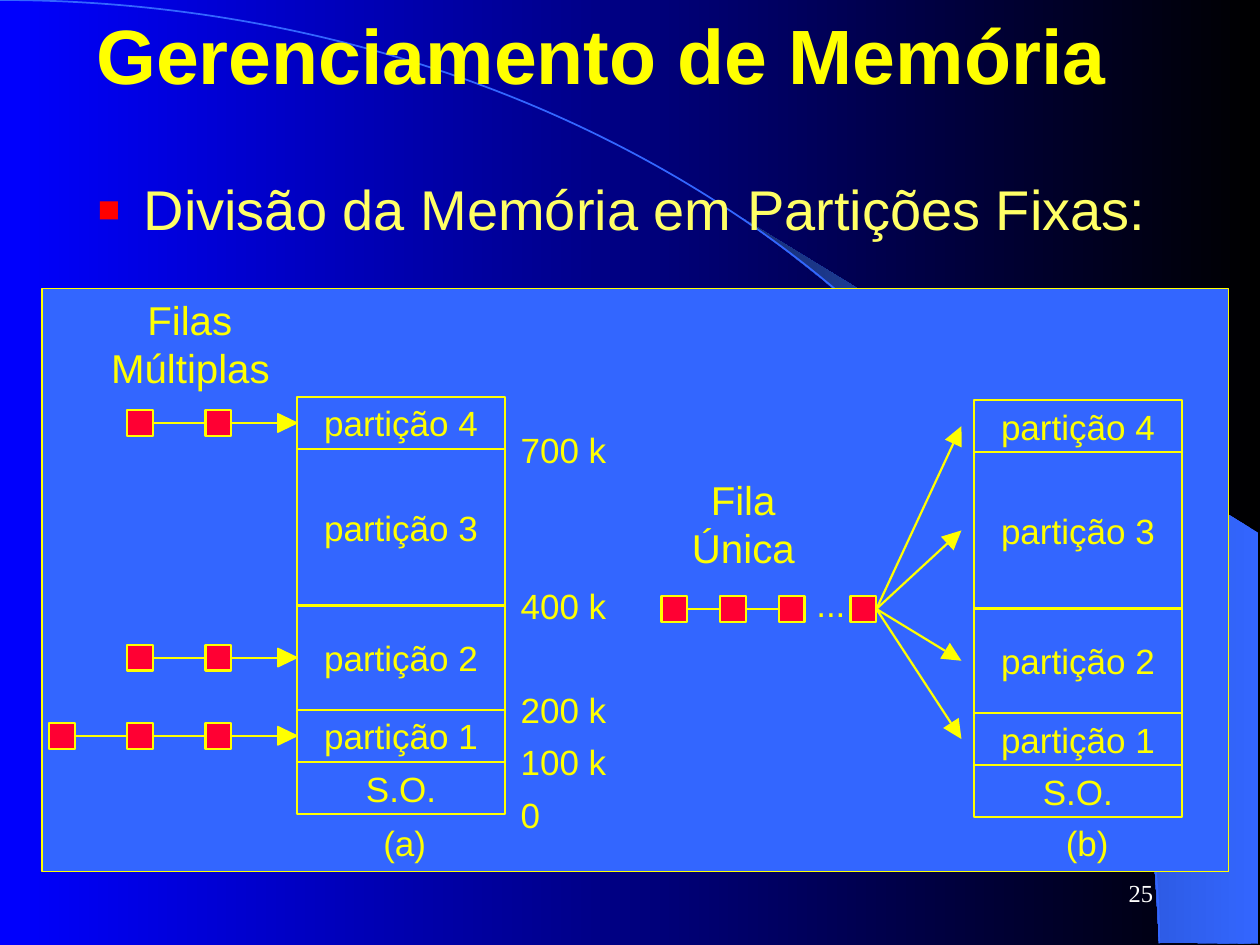
from math import hypot

from lxml import etree
from pptx import Presentation
from pptx.dml.color import RGBColor
from pptx.enum.shapes import MSO_CONNECTOR, MSO_SHAPE
from pptx.enum.text import MSO_ANCHOR, PP_ALIGN
from pptx.oxml.ns import qn
from pptx.util import Pt

RECT, ARC = MSO_SHAPE.RECTANGLE, MSO_SHAPE.ARC
LINE = MSO_CONNECTOR.STRAIGHT
TOP, MIDDLE = MSO_ANCHOR.TOP, MSO_ANCHOR.MIDDLE
LEFT, CENTER, RIGHT = PP_ALIGN.LEFT, PP_ALIGN.CENTER, PP_ALIGN.RIGHT
JUSTIFY = PP_ALIGN.JUSTIFY

YELLOW, BLUE, RED = "FFFF00", "3366FF", "FF0033"
PARTS = [("partição 4", 1), ("partição 3", 3), ("partição 2", 2),
         ("partição 1", 1), ("S.O.", 1)]
MARKS = ["700 k", "400 k", "200 k", "100 k", "0"]
UNIT, WIDE, SIDE = 29.8, 118.8, 14.8
SWOOSH = [(662.4, 538.6), (719.3, 539.3), (719.3, 304.6), (424.1, 124.6),
          (449.3, 143.3), (470.2, 159.8), (493.2, 180), (515.5, 201.6),
          (548.6, 237.6), (578.2, 276.5), (599, 310.3), (617.8, 344.9),
          (632.2, 380.2), (643, 411.8), (650.2, 438.5), (657.4, 472.3),
          (660.2, 501.1)]


def tint(code):
    return RGBColor.from_string(code)


def blend(fill, first, last):
    fill.gradient()
    fill.gradient_angle = 180
    for stop, code, place in zip(fill.gradient_stops, (first, last), (0, 1)):
        stop.color.rgb = tint(code)
        stop.position = place


class Board:
    """Draws styled elements on the current slide, with lengths in points."""

    def __init__(self, slide):
        self.slide = slide
        self.shapes = slide.shapes
        self.font = "Arial"

    def paint(self, shape, fill, line, width):
        shape.shadow.inherit = False
        if fill:
            shape.fill.solid()
            shape.fill.fore_color.rgb = tint(fill)
        else:
            shape.fill.background()
        if line:
            shape.line.color.rgb = tint(line)
            shape.line.width = Pt(width)
        else:
            shape.line.fill.background()

    def shape(self, kind, x, y, w, h, fill, line=YELLOW, width=1.25):
        shape = self.shapes.add_shape(kind, Pt(x), Pt(y), Pt(w), Pt(h))
        self.paint(shape, fill, line, width)

    def outline(self, points, fill=None, line=None, width=0.75):
        spots = [(Pt(x), Pt(y)) for x, y in points]
        pen = self.shapes.build_freeform(*spots[0], scale=1.0)
        pen.add_line_segments(spots[1:], close=True)
        shape = pen.convert_to_shape()
        self.paint(shape, fill, line, width)
        return shape

    def line(self, x1, y1, x2, y2):
        line = self.shapes.add_connector(LINE, Pt(x1), Pt(y1), Pt(x2), Pt(y2))
        line.line.color.rgb = tint(YELLOW)
        line.line.width = Pt(1.25)
        etree.SubElement(line._element.spPr, qn("a:effectLst"))

    def arrow(self, x1, y1, x2, y2, edge=None):
        span = hypot(x2 - x1, y2 - y1)
        dx, dy = (x2 - x1) / span, (y2 - y1) / span
        bx, by = x2 - 11 * dx, y2 - 11 * dy
        self.line(x1, y1, bx, by)
        self.outline([(bx - 5.3 * dy, by + 5.3 * dx), (x2, y2),
                      (bx + 5.3 * dy, by - 5.3 * dx)], YELLOW, edge)

    def text(self, words, x, y, w, h, size, code=YELLOW, align=LEFT,
             anchor=TOP, font=None, bold=False, mark=None):
        box = self.shapes.add_textbox(Pt(x), Pt(y), Pt(w), Pt(h))
        frame = box.text_frame
        frame.word_wrap = True
        frame.vertical_anchor = anchor
        frame.text = words
        para = frame.paragraphs[0]
        para.alignment = align
        if mark:
            self.bullet(para, mark)
        style = para.runs[0].font
        style.name, style.size, style.bold = font or self.font, Pt(size), bold
        style.color.rgb = tint(code)
        return frame

    def bullet(self, para, code):
        props = para._p.get_or_add_pPr()
        props.set("marL", str(Pt(27)))
        props.set("indent", str(-Pt(27)))
        color = etree.SubElement(props, qn("a:buClr"))
        etree.SubElement(color, qn("a:srgbClr"), val=code)
        etree.SubElement(props, qn("a:buSzPct"), val="130000")
        etree.SubElement(props, qn("a:buFont"), typeface=self.font)
        etree.SubElement(props, qn("a:buChar"), char="▪")

    def label(self, words, x, mid, w, size=20, align=CENTER):
        high = size * 1.2
        frame = self.text(words, x, mid - high / 2, w, high, size, align=align)
        frame.word_wrap = False
        frame.margin_left = frame.margin_right = 0
        frame.margin_top = frame.margin_bottom = 0

    def stack(self, x, top):
        mids = []
        for name, share in PARTS:
            high = share * UNIT
            mid = top + high / 2
            self.shape(RECT, x, top, WIDE, high, BLUE)
            wide = 44 if name == "S.O." else 90
            self.label(name, x + (WIDE - wide) / 2, mid, wide)
            mids.append(mid)
            top += high
        return mids

    def queue(self, spots, mid):
        for x in spots:
            self.shape(RECT, x, mid - SIDE / 2, SIDE, SIDE, RED)
        for x, after in zip(spots, spots[1:]):
            self.line(x + SIDE, mid, after, mid)


def main():
    deck = Presentation()
    deck.slide_width, deck.slide_height = Pt(720), Pt(540)
    slide = deck.slides.add_slide(deck.slide_layouts[6])
    blend(slide.background.fill, "000000", "0000FF")
    board = Board(slide)

    blend(board.outline(SWOOSH).fill, BLUE, "172F75")
    board.shape(ARC, -662.4, 0, 1324.8, 1078, None, BLUE, 1)
    board.text("Gerenciamento de Memória", 48, 0.5, 648, 90, 44, bold=True)
    board.text("Divisão da Memória em Partições Fixas:", 48, 96, 648, 90, 32,
               "FFFF66", JUSTIFY, mark="FF0000")
    board.shape(RECT, 24, 165, 678, 333, BLUE, width=0.75)

    left, top = 169.8, 226.8
    mids = board.stack(left, top)
    edge = top
    for mark, (_, share) in zip(MARKS, PARTS):
        edge += share * UNIT
        board.label(mark, 297.5, edge, 14 if mark == "0" else 52, align=LEFT)
    for part, count in ((0, 2), (2, 2), (3, 3)):
        spots = [117.4 - 44.6 * back for back in reversed(range(count))]
        board.queue(spots, mids[part])
        board.arrow(spots[-1] + SIDE, mids[part], left, mids[part], YELLOW)

    goals = board.stack(556.6, 228.6)
    mid = 348
    board.queue([378, 411.5, 445], mid)
    board.queue([486], mid)
    board.label("...", 462.8, 345, 24)
    for goal in goals[:4]:
        board.arrow(486 + SIDE, mid, 549.4, goal)

    for words, x, y, w in (("Filas", 82, 182.5, 53), ("Múltiplas", 61.4, 210, 95),
                           ("Fila", 404, 285.5, 41.5), ("Única", 393.3, 313, 63)):
        board.label(words, x, y, w, 23)
    for words, x in (("(a)", 217), ("(b)", 607)):
        board.label(words, x, 481.5, 28.5)
    board.text("25", 516, 492, 150, 36, 14, "FFFFFF", RIGHT, MIDDLE,
               "Times New Roman")
    deck.save("out.pptx")


if __name__ == "__main__":
    main()
